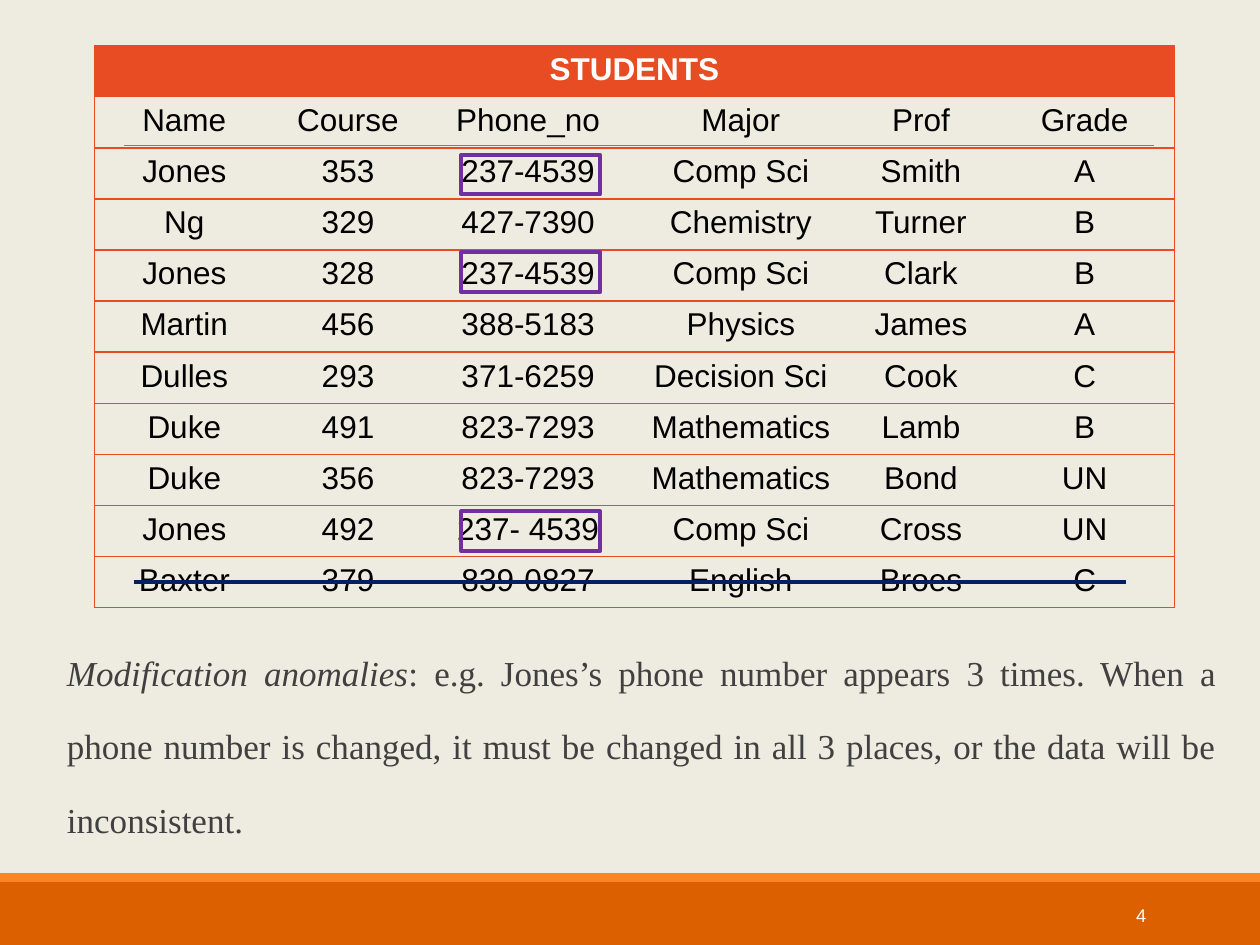
from lxml import etree
from pptx import Presentation
from pptx import util as u
from pptx.dml.color import RGBColor
from pptx.enum import shapes, text
from pptx.oxml import ns

RED = "E84C22"
PURPLE = "7030A0"
NAVY = "002060"
NO_GRID_STYLE = "{2D5ABB26-0587-4C30-8999-92F81FD0307C}"
HEADERS = ["Name", "Course", "Phone_no", "Major", "Prof", "Grade"]
STUDENTS = [
    ["Jones", "353", "237-4539", "Comp Sci", "Smith", "A"],
    ["Ng", "329", "427-7390", "Chemistry", "Turner", "B"],
    ["Jones", "328", "237-4539", "Comp Sci", "Clark", "B"],
    ["Martin", "456", "388-5183", "Physics", "James", "A"],
    ["Dulles", "293", "371-6259", "Decision Sci", "Cook", "C"],
    ["Duke", "491", "823-7293", "Mathematics", "Lamb", "B"],
    ["Duke", "356", "823-7293", "Mathematics", "Bond", "UN"],
    ["Jones", "492", "237- 4539", "Comp Sci", "Cross", "UN"],
    ["Baxter", "379", "839-0827", "English", "Broes", "C"],
]
COLUMN_WIDTHS = [3.63, 2.97, 4.29, 4.29, 2.97, 3.63]
ROW_HEIGHT = 1.03


def color(value):
    return RGBColor.from_string(value)


def centimetres(*lengths):
    return [u.Cm(length) for length in lengths]


class SlideBuilder:
    """Draws styled elements on the current slide."""

    def __init__(self, slide, font="Arial", body_font="Times New Roman"):
        self.slide = slide
        self.font = font
        self.body_font = body_font

    def background(self, fill):
        self.slide.background.fill.solid()
        self.slide.background.fill.fore_color.rgb = color(fill)

    def style(self, font, size, rgb, name=None, bold=None):
        font.name = name or self.font
        font.size = u.Pt(size)
        font.bold = bold
        font.color.rgb = color(rgb)

    def rectangle(self, box, fill=None, line=None):
        shape = self.slide.shapes.add_shape(shapes.MSO_SHAPE.RECTANGLE, *centimetres(*box))
        shape.shadow.inherit = False
        if fill:
            shape.fill.solid()
            shape.fill.fore_color.rgb = color(fill)
        else:
            shape.fill.background()
        if line:
            shape.line.color.rgb = color(line)
            shape.line.width = u.Pt(2.25)
        else:
            shape.line.fill.background()

    def line(self, left, right, y, rgb, width):
        connector = self.slide.shapes.add_connector(
            shapes.MSO_CONNECTOR.STRAIGHT, *centimetres(left, y, right, y))
        connector.line.color.rgb = color(rgb)
        connector.line.width = u.Pt(width)
        etree.SubElement(connector._element.spPr, ns.qn("a:effectLst"))

    def body(self, box, runs):
        shape = self.slide.placeholders[1]
        shape.left, shape.top, shape.width, shape.height = centimetres(*box)
        frame = shape.text_frame
        frame.margin_left = frame.margin_right = frame.margin_bottom = 0
        frame.vertical_anchor = text.MSO_ANCHOR.BOTTOM
        paragraph = frame.paragraphs[0]
        paragraph.alignment = text.PP_ALIGN.JUSTIFY
        paragraph.line_spacing = 1.75
        paragraph.space_before, paragraph.space_after = u.Pt(12), u.Pt(2)
        properties = paragraph._p.get_or_add_pPr()
        properties.set("marL", str(u.Cm(0.25)))
        properties.set("indent", str(-u.Cm(0.25)))
        etree.SubElement(properties, ns.qn("a:buChar"), char=" ")
        for content, italic in runs:
            run = paragraph.add_run()
            run.text = content
            self.style(run.font, 20, "404040", self.body_font)
            run.font.italic = italic

    def page_number(self, box, number):
        frame = self.slide.shapes.add_textbox(*centimetres(*box)).text_frame
        frame.word_wrap = True
        frame.vertical_anchor = text.MSO_ANCHOR.MIDDLE
        paragraph = frame.paragraphs[0]
        paragraph.text = number
        paragraph.alignment = text.PP_ALIGN.RIGHT
        self.style(paragraph.font, 10.5, "FFFFFF")

    def border(self, cell, sides):
        properties = cell._tc.get_or_add_tcPr()
        for position, side in enumerate(sides):
            edge = etree.Element(ns.qn(f"a:ln{side}"), w=str(u.Pt(1)))
            fill = etree.SubElement(edge, ns.qn("a:solidFill"))
            etree.SubElement(fill, ns.qn("a:srgbClr"), val=RED)
            properties.insert(position, edge)

    def cell(self, cell, content, sides, heading=False):
        if heading:
            cell.fill.solid()
            cell.fill.fore_color.rgb = color(RED)
        else:
            cell.fill.background()
        paragraph = cell.text_frame.paragraphs[0]
        paragraph.text = content
        paragraph.alignment = text.PP_ALIGN.CENTER
        self.style(paragraph.font, 18, "FFFFFF" if heading else "000000", bold=heading)
        self.border(cell, sides)

    def table(self, left, top, title, rows):
        width, height = sum(COLUMN_WIDTHS), ROW_HEIGHT * (len(rows) + 1)
        table = self.slide.shapes.add_table(
            len(rows) + 1, len(COLUMN_WIDTHS), *centimetres(left, top, width, height)).table
        table._tbl.tblPr.find(ns.qn("a:tableStyleId")).text = NO_GRID_STYLE
        for column, column_width in zip(table.columns, COLUMN_WIDTHS):
            column.width = u.Cm(column_width)
        for row in table.rows:
            row.height = u.Cm(ROW_HEIGHT)
        last = len(COLUMN_WIDTHS) - 1
        table.cell(0, 0).merge(table.cell(0, last))
        self.cell(table.cell(0, 0), title, "LRTB", heading=True)
        for row_index, row in enumerate(rows, 1):
            for column_index, content in enumerate(row):
                sides = "L" * (column_index == 0) + "R" * (column_index == last) + "TB"
                self.cell(table.cell(row_index, column_index), content, sides)


def main():
    presentation = Presentation()
    presentation.slide_width, presentation.slide_height = centimetres(25.4, 19.05)
    slide = presentation.slides.add_slide(presentation.slide_layouts[1])
    title = slide.shapes.title._element
    title.getparent().remove(title)

    builder = SlideBuilder(slide)
    builder.background("EEECE1")
    builder.rectangle((0, 17.78, 25.4, 1.27), fill="DC5F00")
    builder.rectangle((0, 17.6, 25.4, 0.18), fill="FF8427")
    builder.line(2.5, 23.26, 2.93, "808080", 0.5)
    builder.body((1.1, 2.34, 23.42, 14.6), [
        ("Modification anomalies", True),
        (": e.g. Jones’s phone number appears 3 times. When a phone number is changed, "
         "it must be changed in all 3 places, or the data will be inconsistent.", False),
    ])
    builder.page_number((20.62, 17.94, 2.74, 1.02), "4")
    builder.table(1.9, 0.92, "STUDENTS", [HEADERS] + STUDENTS)
    for top in (3.12, 5.09, 10.31):
        builder.rectangle((9.3, top, 2.8, 0.8), line=PURPLE)
    builder.line(2.7, 22.7, 11.73, NAVY, 2.25)
    presentation.save("out.pptx")


if __name__ == "__main__":
    main()
